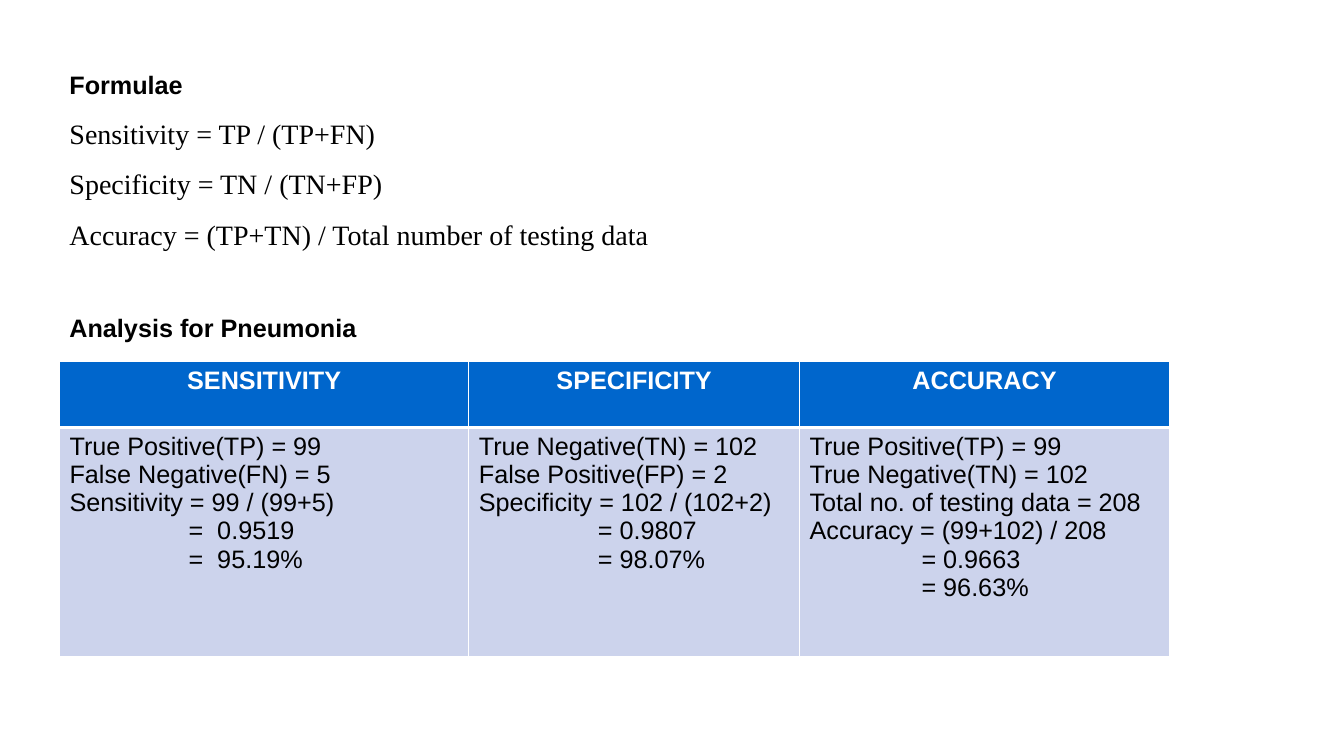
from dataclasses import dataclass

from lxml.etree import SubElement
from pptx import Presentation
from pptx.dml.color import RGBColor as Rgb
from pptx.enum.text import PP_ALIGN as Align
from pptx.oxml.ns import qn
from pptx.util import Inches, Pt


@dataclass(frozen=True)
class Theme:
    """Colours, fonts and type sizes of the slide."""
    ink: str = "000000"
    paper: str = "FFFFFF"
    header: str = "0066CC"
    body: str = "CCD3EC"
    sans: str = "Arial"
    serif: str = "Times New Roman"
    text_size: float = 18
    formula_size: float = 20
    thin: float = 1
    thick: float = 3


THEME = Theme()
HEADING = {"name": THEME.sans, "size": Pt(THEME.text_size), "bold": True}
FORMULA = {"name": THEME.serif, "size": Pt(THEME.formula_size), "bold": False}
BODY = {**HEADING, "bold": False}

FORMULAE = [
    "Sensitivity = TP / (TP+FN)",
    "Specificity = TN / (TN+FP)",
    "Accuracy = (TP+TN) / Total number of testing data",
]
MEASURES = [
    ("SENSITIVITY", 4.06, 1.18,
     ["True Positive(TP) = 99", "False Negative(FN) = 5",
      "Sensitivity = 99 / (99+5)", "=  0.9519", "=  95.19%"]),
    ("SPECIFICITY", 3.28, 1.18,
     ["True Negative(TN) = 102", "False Positive(FP) = 2",
      "Specificity = 102 / (102+2)", "= 0.9807", "= 98.07%"]),
    ("ACCURACY", 3.67, 1.11,
     ["True Positive(TP) = 99", "True Negative(TN) = 102",
      "Total no. of testing data = 208", "Accuracy = (99+102) / 208",
      "= 0.9663", "= 96.63%"]),
]
ROW_HEIGHTS = (0.65, 2.27)


def write_line(frame, index, text, font, color, layout):
    """Write one paragraph with the given font and paragraph formats."""
    line = frame.paragraphs[0] if index == 0 else frame.add_paragraph()
    run = line.add_run()
    run.text = text
    for target, formats in ((run.font, font), (line, layout)):
        for name, value in formats.items():
            setattr(target, name, value)
    run.font.color.rgb = Rgb.from_string(color)
    return line


def style_cell(cell, fill, borders):
    """Give a cell its white borders and its fill."""
    properties = cell._tc.get_or_add_tcPr()
    for side, width in borders.items():
        border = SubElement(properties, qn(f"a:ln{side}"), w=str(Pt(width)))
        paint = SubElement(border, qn("a:solidFill"))
        SubElement(paint, qn("a:srgbClr"), val=THEME.paper)
    cell.fill.solid()
    cell.fill.fore_color.rgb = Rgb.from_string(fill)


def add_formulae(slide, left, top, width, height):
    """Place the formulae and the heading of the analysis."""
    box = slide.shapes.add_textbox(*map(Inches, (left, top, width, height)))
    frame = box.text_frame
    frame.word_wrap = True
    lines = [("Formulae", HEADING, {})]
    lines += [(text, FORMULA, {"line_spacing": Pt(36)}) for text in FORMULAE]
    lines.append(("Analysis for Pneumonia", HEADING, {"space_before": Pt(44)}))
    for index, (text, font, layout) in enumerate(lines):
        write_line(frame, index, text, font, THEME.ink, layout)


def add_analysis(slide, left, top, width, height):
    """Place the table that works out each measure."""
    table = slide.shapes.add_table(
        len(ROW_HEIGHTS), len(MEASURES),
        *map(Inches, (left, top, width, height))).table
    for row, row_height in zip(table.rows, ROW_HEIGHTS):
        row.height = Inches(row_height)
    thin, thick = THEME.thin, THEME.thick
    for column, (title, column_width, indent, steps) in enumerate(MEASURES):
        table.columns[column].width = Inches(column_width)
        head, body = (table.cell(row, column) for row in range(2))
        style_cell(head, THEME.header, {"L": thin, "R": thin, "T": thin, "B": thick})
        style_cell(body, THEME.body, {"L": thin, "R": thin, "T": thick, "B": thin})
        write_line(head.text_frame, 0, title, HEADING, THEME.paper,
                   {"alignment": Align.CENTER})
        for index, step in enumerate(steps):
            line = write_line(body.text_frame, index, step, BODY, THEME.ink, {})
            if step.startswith("="):
                line._p.get_or_add_pPr().set("marL", str(Inches(indent)))


def main():
    """Build the slide and save it."""
    deck = Presentation()
    deck.slide_width, deck.slide_height = Inches(13.33), Inches(7.5)
    slide = deck.slides.add_slide(deck.slide_layouts[6])
    add_formulae(slide, 0.59, 0.64, 12.71, 2.85)
    add_analysis(slide, 0.59, 3.59, 11.01, sum(ROW_HEIGHTS))
    deck.save("out.pptx")


if __name__ == "__main__":
    main()
